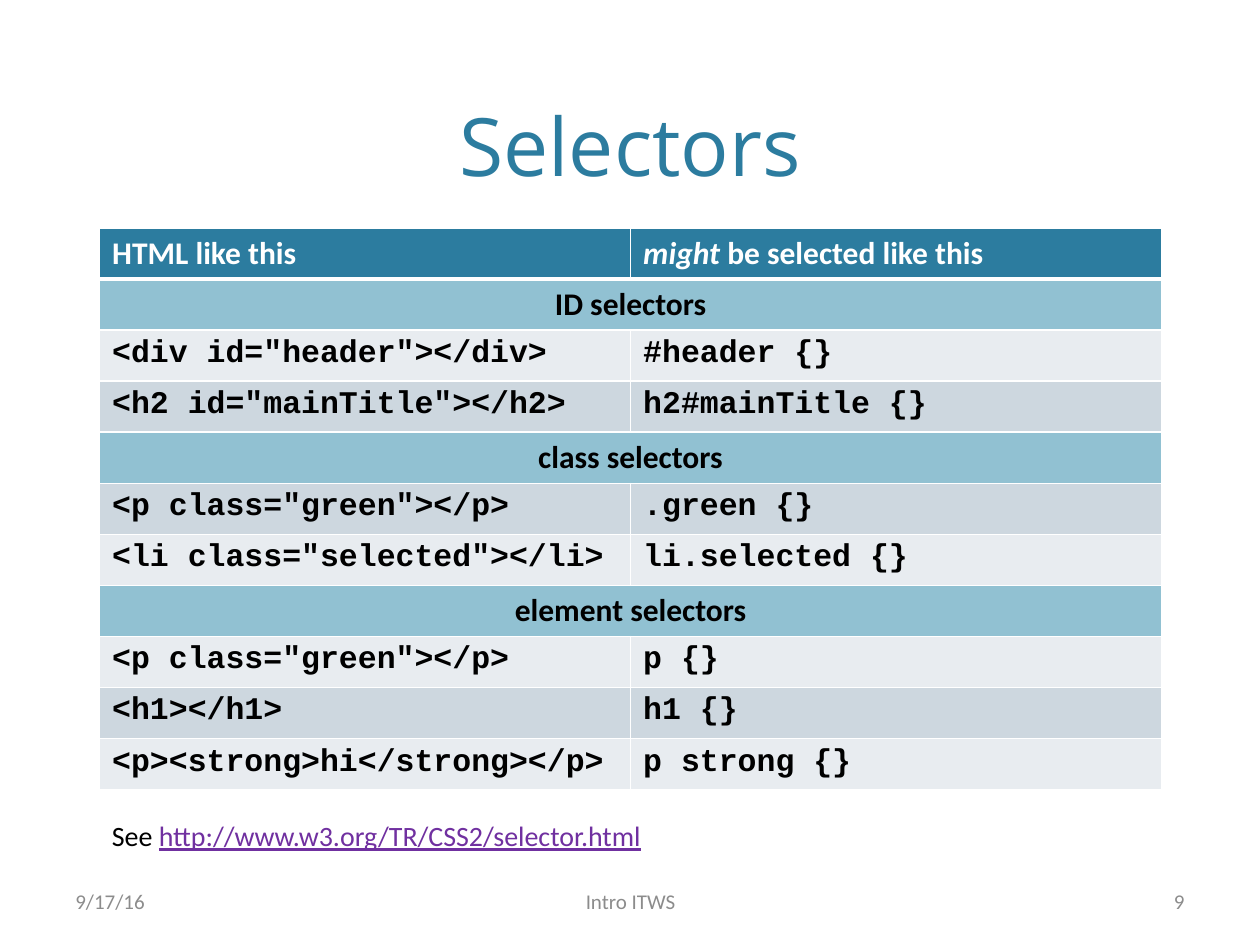
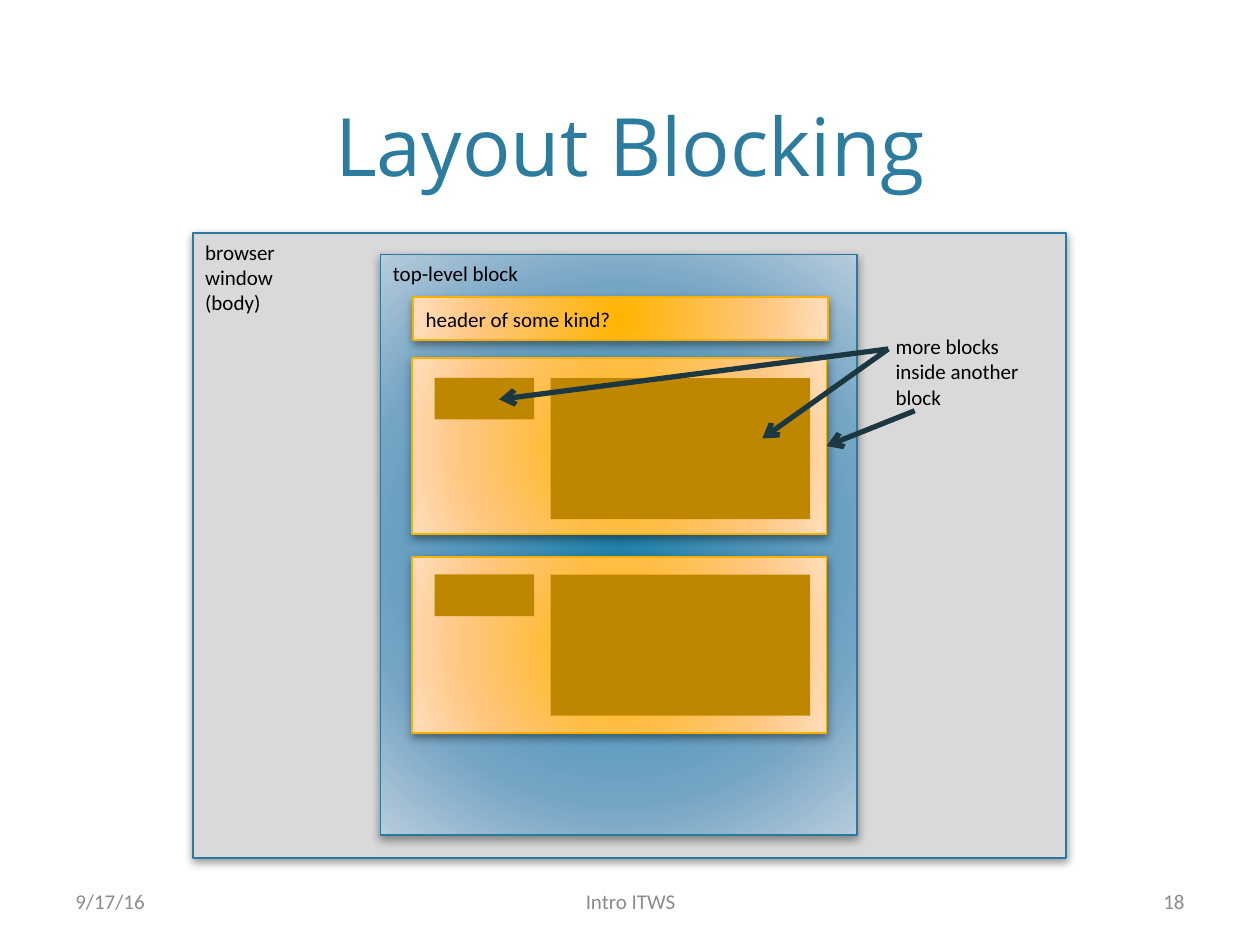
import pptx
import pptx.util
import pptx.dml.color
import pptx.enum.shapes
import pptx.enum.text
import pptx.oxml
import pptx.oxml.ns
import lxml.etree

Inches, Pt = pptx.util.Inches, pptx.util.Pt
RGB = pptx.dml.color.RGBColor.from_string
ALIGN, ANCHOR = pptx.enum.text.PP_ALIGN, pptx.enum.text.MSO_ANCHOR
RECT = pptx.enum.shapes.MSO_SHAPE.RECTANGLE
STRAIGHT = pptx.enum.shapes.MSO_CONNECTOR.STRAIGHT

THEME = {
    "title": {"name": "Open Sans", "size": 46, "color": "2C7C9F"},
    "footer": {"name": "Calibri", "size": 12, "color": "8C8C8C"},
    "label": {"name": "Calibri", "size": 12, "color": "000000"},
    "note": {"name": "Calibri", "size": 16, "color": "000000"},
    "head": {"name": "Calibri", "size": 18, "color": "FFFFFF", "bold": True},
    "section": {"name": "Calibri", "size": 18, "color": "000000", "bold": True},
    "code": {"name": "Courier New", "size": 18, "color": "000000", "bold": True},
    "link": {"color": "7030A0", "underline": True},
    "head_fill": "2C7C9F", "section_fill": "91C1D2", "bands": ("E8ECF0", "CDD7DF"),
    "rule": "FFFFFF", "arrow": "1B3842",
    "window": {"fill": "D9D9D9", "line": "287A9E"},
    "page": {"fill": ((0, "2180AA"), (69, "75A5C5"), (100, "B8CCDC")), "line": "287A9E"},
    "block": {"fill": ((0, "FFB400"), (69, "FFC67F"), (100, "FFDEBD")), "line": "F9B000"},
    "inner": {"fill": "BF8700", "line": None},
}

# Content: selectors table
HEADER = [[("HTML like this", {})],
          [("might", {"italic": True}), (" be selected like this", {})]]
SECTIONS = [
    ("ID selectors", [('<div id="header"></div>', "#header {} "),
                      ('<h2 id="mainTitle"></h2>', "h2#mainTitle {}")]),
    ("class selectors", [('<p class="green"></p>', ".green {}"),
                         ('<li class="selected"></li>', "li.selected {}")]),
    ("element selectors", [('<p class="green"></p>', "p {}"),
                           ("<h1></h1>", "h1 {}"),
                           ("<p><strong>hi</strong></p>", "p strong {}")]),
]
SEE = [("See ", {}), ("http://www.w3.org/TR/CSS2/selector.html", THEME["link"]), (" ", {})]
TABLE_BOX = (0.79, 1.81, 8.43, 4.46)

# Content: nested layout blocks
FRAMES = [
    ((1.53, 1.85, 6.93, 4.96), "window", ["browser \vwindow", "(body)"], ANCHOR.TOP),
    ((3.02, 2.02, 3.78, 4.61), "page", ["top-level block"], ANCHOR.TOP),
    ((3.28, 2.36, 3.29, 0.34), "block", ["header of some kind?"], ANCHOR.MIDDLE),
]
PANEL_TOPS, PANEL = (2.84, 4.42), (3.27, 3.29, 1.4)    # left, width, height
INNER_TOPS, INNERS = (3.0, 4.56), [(3.45, 0.79, 0.33), (4.37, 2.06, 1.12)]
CALLOUT = "more blocks inside another block"
ARROWS = [((7.05, 2.77), (6.05, 3.48)), ((7.05, 2.77), (3.96, 3.17)),
          ((7.26, 3.26), (6.56, 3.54))]

# Content: shared footer
DATE, COURSE = "9/17/16", "Intro ITWS"


def style(font, values):
    for key, value in values.items():
        if key == "color":
            font.color.rgb = RGB(value)
        else:
            setattr(font, key, Pt(value) if key == "size" else value)


def write(tf, paragraphs, base, align=ALIGN.LEFT):
    """Each paragraph is a string or a list of (text, overrides) runs."""
    for i, content in enumerate(paragraphs):
        p = tf.paragraphs[0] if i == 0 else tf.add_paragraph()
        p.alignment = align
        if isinstance(content, str):
            p.text = content
        else:
            for text, extra in content:
                r = p.add_run()
                r.text = text
                style(r.font, {**base, **extra})
            continue
        for r in p.runs:
            style(r.font, base)


def add_text(shapes, box, content, kind, align=ALIGN.LEFT, anchor=ANCHOR.TOP, wrap=True):
    sp = shapes.add_textbox(*map(Inches, box))
    tf = sp.text_frame
    tf.word_wrap, tf.vertical_anchor = wrap, anchor
    write(tf, [content], THEME[kind], align)


def add_chrome(slide, title, number):
    add_text(slide.shapes, (0.6, 0.12, 8.8, 1.46), title, "title", ALIGN.CENTER, ANCHOR.BOTTOM)
    for x, w, text, align in ((0.5, 2.33, DATE, ALIGN.LEFT),
                              (3.42, 3.17, COURSE, ALIGN.CENTER),
                              (7.17, 2.33, str(number), ALIGN.RIGHT)):
        add_text(slide.shapes, (x, 6.95, w, 0.4), text, "footer", align, ANCHOR.MIDDLE)


def xml(body):
    tag, rest = body.split(" ", 1)
    return pptx.oxml.parse_xml(f"{tag} {pptx.oxml.ns.nsdecls('a')} {rest}")


def add_block(shapes, box, kind, paragraphs=(), anchor=ANCHOR.TOP):
    look = THEME[kind]
    sp = shapes.add_shape(RECT, *map(Inches, box))
    sp.shadow.inherit = False
    if look["line"]:
        sp.line.color.rgb, sp.line.width = RGB(look["line"]), Pt(1)
        sp._element.spPr.find(pptx.oxml.ns.qn("a:effectLst")).append(xml(
            f'<a:outerShdw blurRad="{Pt(5)}" dist="{Pt(2)}" dir="5400000" rotWithShape="0">'
            '<a:srgbClr val="000000"><a:alpha val="40000"/></a:srgbClr></a:outerShdw>'))
    else:
        sp.line.fill.background()
    if isinstance(look["fill"], str):
        sp.fill.solid()
        sp.fill.fore_color.rgb = RGB(look["fill"])
    else:
        stops = "".join(f'<a:gs pos="{pos * 1000}"><a:srgbClr val="{c}"/></a:gs>'
                        for pos, c in look["fill"])
        sp._element.spPr.find(pptx.oxml.ns.qn("a:prstGeom")).addnext(xml(
            f'<a:gradFill rotWithShape="1"><a:gsLst>{stops}</a:gsLst><a:path path="circle">'
            '<a:fillToRect l="50000" t="50000" r="50000" b="50000"/></a:path></a:gradFill>'))
    sp.text_frame.vertical_anchor = anchor
    write(sp.text_frame, paragraphs, THEME["label"])


def add_arrow(shapes, start, end):
    sp = shapes.add_connector(STRAIGHT, *map(Inches, start + end))
    sp.line.color.rgb, sp.line.width = RGB(THEME["arrow"]), Pt(3)
    sp.line._get_or_add_ln().append(xml('<a:tailEnd type="arrow"/>'))
    sp._element.spPr.append(xml("<a:effectLst />"))


def fill_cell(cell, content, kind, fill, align=ALIGN.LEFT):
    write(cell.text_frame, [content], THEME[kind], align)
    cell.fill.solid()
    cell.fill.fore_color.rgb = RGB(fill)
    for i, side in enumerate("LRTB"):
        width = Pt(3 if kind == "head" and side == "B" else 1)
        cell._tc.get_or_add_tcPr().insert(i, xml(
            f'<a:ln{side} w="{width}"><a:solidFill><a:srgbClr val="{THEME["rule"]}"/>'
            f'</a:solidFill></a:ln{side}>'))


def add_selector_table(slide):
    rows = [("head", HEADER)]
    for name, pairs in SECTIONS:
        rows.append(("section", [name, ""]))
        rows += [("code", pair) for pair in pairs]
    frame = slide.shapes.add_table(len(rows), 2, *map(Inches, TABLE_BOX))
    table = frame.table
    table.horz_banding = False
    for i, (kind, texts) in enumerate(rows):
        fill = THEME["bands"][i % 2] if kind == "code" else THEME[kind + "_fill"]
        align = ALIGN.CENTER if kind == "section" else ALIGN.LEFT
        for j, text in enumerate(texts):
            fill_cell(table.cell(i, j), text, kind, fill, align)
        if kind == "section":
            table.cell(i, 0).merge(table.cell(i, 1))


prs = pptx.Presentation()
prs.slide_width, prs.slide_height = Inches(10), Inches(7.5)
blank = prs.slide_layouts[6]

# Slide: selectors
s = prs.slides.add_slide(blank)
add_chrome(s, "Selectors", 9)
add_selector_table(s)
add_text(s.shapes, (0.79, 6.45, 4.83, 0.37), SEE, "note", wrap=False)

# Slide: layout blocking
s = prs.slides.add_slide(blank)
diagram = s.shapes.add_group_shape().shapes
for box, kind, paragraphs, anchor in FRAMES:
    add_block(diagram, box, kind, paragraphs, anchor)
for top in PANEL_TOPS:
    x, w, h = PANEL
    add_block(diagram, (x, top, w, h), "block")
for x, w, h in INNERS:
    for top in INNER_TOPS:
        add_block(diagram, (x, top, w, h), "inner")
add_text(diagram, (7.01, 2.6, 1.36, 0.71), CALLOUT, "label")
for start, end in ARROWS:
    add_arrow(diagram, start, end)
add_chrome(s, "Layout Blocking", 18)

prs.save("out.pptx")
